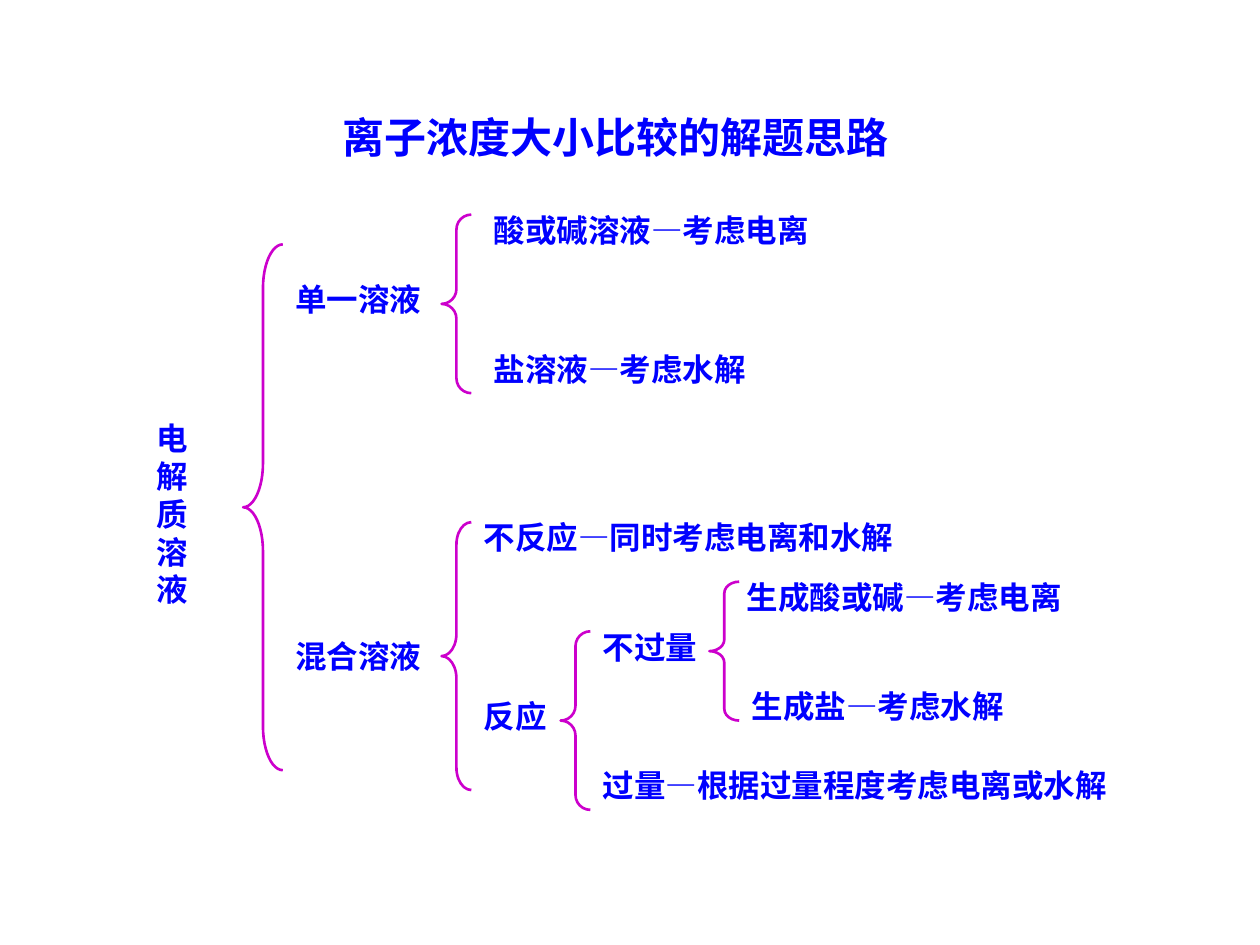
from pptx import Presentation
from pptx.dml.color import RGBColor
from pptx.enum.shapes import MSO_SHAPE
from pptx.enum.text import PP_ALIGN
from pptx.oxml.ns import qn
from pptx.util import Inches, Pt

BLUE = RGBColor(0x00, 0x00, 0xFF)
PURPLE = RGBColor(0xCC, 0x00, 0xCC)
FONT = "Noto Sans CJK SC"
SLIDE_WIDTH, SLIDE_HEIGHT = Inches(10), Inches(7.5)
CELL = SLIDE_WIDTH / 127
GRID_LEFT, GRID_TOP = Inches(0.04), Inches(0.05)
LABEL_ROWS = 5

# Each branch: brace box (column, row, columns, rows), then its labels as
# (columns right of the brace's left, rows below its top, columns wide, text).
BRANCHES = [
    ((24, 24, 4, 53), [(4, 3, 26, "单一溶液"),
                       (4, 39, 26, "混合溶液")]),
    ((44, 21, 3, 18), [(4, -1, 46, "酸或碱溶液—考虑电离"),
                       (4, 13, 46, "盐溶液—考虑水解")]),
    ((44, 52, 3, 27), [(3, -1, 49, "不反应—同时考虑电离和水解"),
                       (3, 17, 12, "反应")]),
    ((56, 63, 3, 18), [(3, -1, 18, "不过量"),
                       (3, 13, 58, "过量—根据过量程度考虑电离或水解")]),
    ((71, 58, 3, 14), [(2.5, -1, 37.5, "生成酸或碱—考虑电离"),
                       (3, 10, 37.5, "生成盐—考虑水解")]),
]


def grid_box(column, row, columns, rows):
    """Turn a box in grid cells into left, top, width and height."""
    return (round(GRID_LEFT + column * CELL), round(GRID_TOP + row * CELL),
            round(columns * CELL), round(rows * CELL))


def add_label(slide, box, lines, size=18, align=PP_ALIGN.LEFT):
    frame = slide.shapes.add_textbox(*grid_box(*box)).text_frame
    frame.word_wrap = True
    for index, line in enumerate(lines):
        paragraph = frame.add_paragraph() if index else frame.paragraphs[0]
        paragraph.alignment = align
        paragraph.line_spacing = Pt(size * 1.2)
        run = paragraph.add_run()
        run.text = line
        font = run.font
        font.name, font.size, font.bold = FONT, Pt(size), True
        font.color.rgb = BLUE
        east_asian = run._r.get_or_add_rPr().makeelement(qn("a:ea"), {"typeface": FONT})
        font._element.find(qn("a:latin")).addnext(east_asian)


def add_brace(slide, box):
    brace = slide.shapes.add_shape(MSO_SHAPE.LEFT_BRACE, *grid_box(*box))
    brace.shadow.inherit = False
    brace.fill.background()
    brace.line.color.rgb = PURPLE
    brace.line.width = Pt(1.5)
    # Every curve takes a twelfth of the brace's height.
    brace.adjustments[0] = brace.height / (12 * brace.width)


def add_branch(slide, box, labels):
    """Place a brace in its box and the labels it groups beside it."""
    add_brace(slide, box)
    column, row = box[:2]
    for right, down, columns, text in labels:
        add_label(slide, (column + right, row + down, columns, LABEL_ROWS), [text])


def main():
    presentation = Presentation()
    presentation.slide_width, presentation.slide_height = SLIDE_WIDTH, SLIDE_HEIGHT
    slide = presentation.slides.add_slide(presentation.slide_layouts[6])
    add_label(slide, (14, 41, 8, 20.3), "电解质溶液")
    add_label(slide, (9, 10, 106, 6.4), ["离子浓度大小比较的解题思路 "],
              size=24, align=PP_ALIGN.CENTER)
    for box, labels in BRANCHES:
        add_branch(slide, box, labels)
    presentation.save("out.pptx")


if __name__ == "__main__":
    main()
